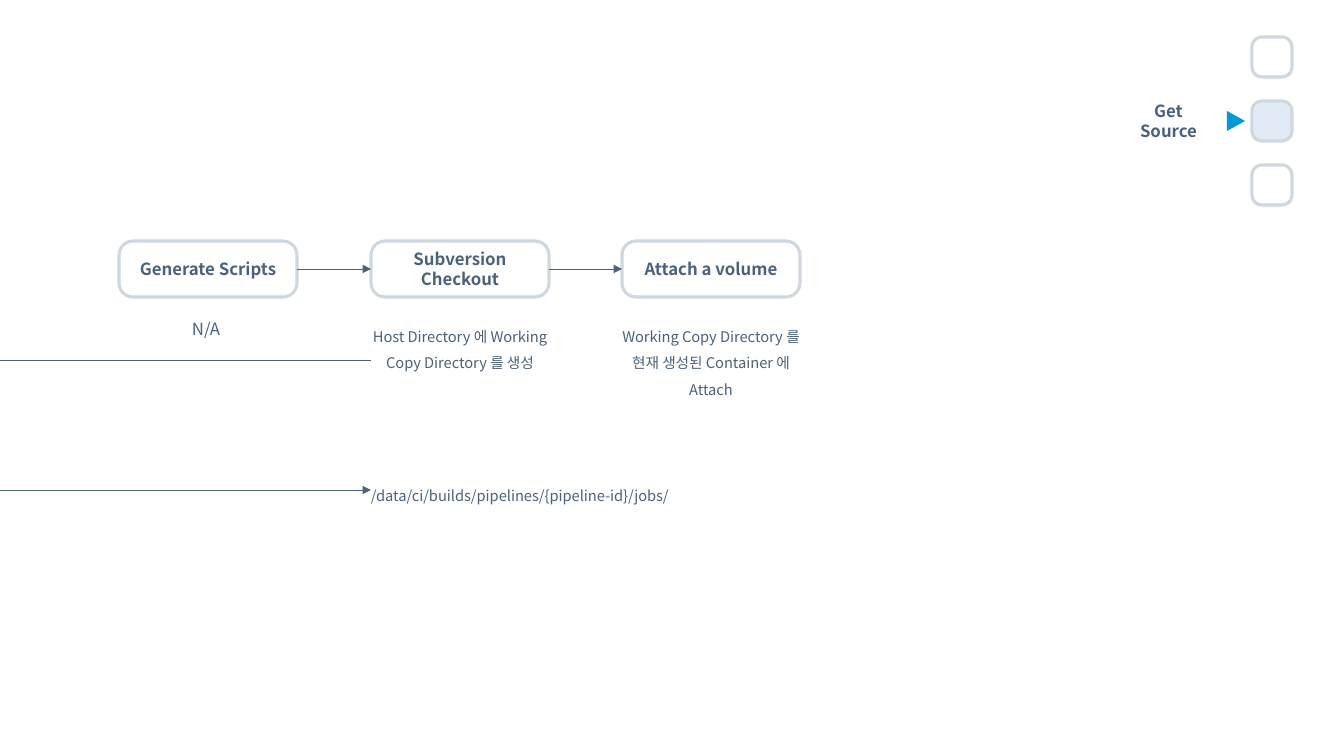
from lxml import etree
from pptx import Presentation
from pptx import util as u
from pptx.dml.color import RGBColor
from pptx.enum import shapes, text
from pptx.oxml.ns import qn

SCALE = 12192000 / 1344
FONT = "Noto Sans CJK KR"
COLORS = {"ink": "4B617C", "edge": "CFD7E0", "white": "FFFFFF",
          "active": "E2EBF5", "mark": "0199D8"}
HUES = {name: RGBColor.from_string(code) for name, code in COLORS.items()}
KIND = shapes.MSO_SHAPE
CENTER, LEFT = text.PP_ALIGN.CENTER, text.PP_ALIGN.LEFT


def place(*spans):
    """Turn px lengths into EMU."""
    return [u.Emu(round(span * SCALE)) for span in spans]


def write(shape, words, size=12, bold=False, align=CENTER, lead=1.0):
    frame = shape.text_frame
    frame.text = words
    frame.word_wrap = True
    para = frame.paragraphs[0]
    para.alignment, para.line_spacing = align, lead
    font = para.runs[0].font
    font.size, font.bold, font.name = u.Pt(size), bold, FONT
    font.color.rgb = HUES["ink"]
    # Korean letters take their font from a:ea
    latin = para.runs[0]._r.rPr.find(qn("a:latin"))
    east = etree.Element(qn("a:ea"), typeface=FONT)
    latin.addnext(east)


deck = Presentation()
deck.slide_width, deck.slide_height = place(1344, 756)
slide = deck.slides.add_slide(deck.slide_layouts[5])
items = slide.shapes

# Title beside the stage marks
title = items.title
title.left, title.top, title.width, title.height = place(1114, 106, 109, 30)
write(title, "Get Source", bold=True)
title.text_frame.auto_size = text.MSO_AUTO_SIZE.NONE
title.text_frame.vertical_anchor = text.MSO_ANCHOR.MIDDLE

# Steps and stage marks: left, top, width, height, fill, label
steps = ["Generate Scripts", "Subversion Checkout", "Attach a volume"]
lefts = [119, 371, 622]
boxes = [(x, 241, 178, 56, "white", step) for x, step in zip(lefts, steps)]
boxes += [(1252, 37 + 64 * row, 40, 40, fill, "")
          for row, fill in enumerate(["white", "active", "white"])]
for x, y, w, h, fill, label in boxes:
    box = items.add_shape(KIND.ROUNDED_RECTANGLE, *place(x, y, w, h))
    box.adjustments[0] = 0.25
    box.shadow.inherit = False
    box.fill.solid()
    box.fill.fore_color.rgb = HUES[fill]
    box.line.color.rgb = HUES["edge"]
    box.line.width = u.Pt(2.25)
    if label:
        write(box, label, bold=True)
        box.text_frame.vertical_anchor = text.MSO_ANCHOR.MIDDLE

mark = items.add_shape(KIND.ISOSCELES_TRIANGLE, *place(1226, 112, 20, 18))
mark.rotation = 90
mark.shadow.inherit = False
mark.fill.solid()
mark.fill.fore_color.rgb = HUES["mark"]
mark.line.fill.background()

# Notes under the steps
note = items.add_textbox(*place(182, 314, 51, 31))
write(note, "N/A", align=LEFT)
note.text_frame.word_wrap = False
notes = [
    (371, 314, 178, 91, CENTER, "Host Directory 에 Working Copy Directory 를 생성"),
    (622, 314, 178, 91, CENTER,
     "Working Copy Directory 를 현재 생성된 Container 에 Attach"),
    (371, 473, 773, 33, LEFT, "/data/ci/builds/pipelines/{pipeline-id}/jobs/"),
]
for x, y, w, h, align, words in notes:
    note = items.add_textbox(*place(x, y, w, h))
    write(note, words, size=10.5, align=align, lead=1.5)
    note.text_frame.margin_left = note.text_frame.margin_right = 0

# Lines: start, end, height, arrowhead
lines = [(297, 371, 269, True), (549, 622, 269, True),
         (0, 371, 360, False), (0, 371, 490, True)]
for start, end, y, head in lines:
    line = items.add_connector(shapes.MSO_CONNECTOR.STRAIGHT,
                               *place(start, y, end, y))
    line.line.color.rgb = HUES["ink"]
    line.line.width = u.Pt(0.5)
    if head:
        etree.SubElement(line.line._get_or_add_ln(), qn("a:tailEnd"),
                         type="triangle")
    etree.SubElement(line._element.spPr, qn("a:effectLst"))

deck.save("out.pptx")
